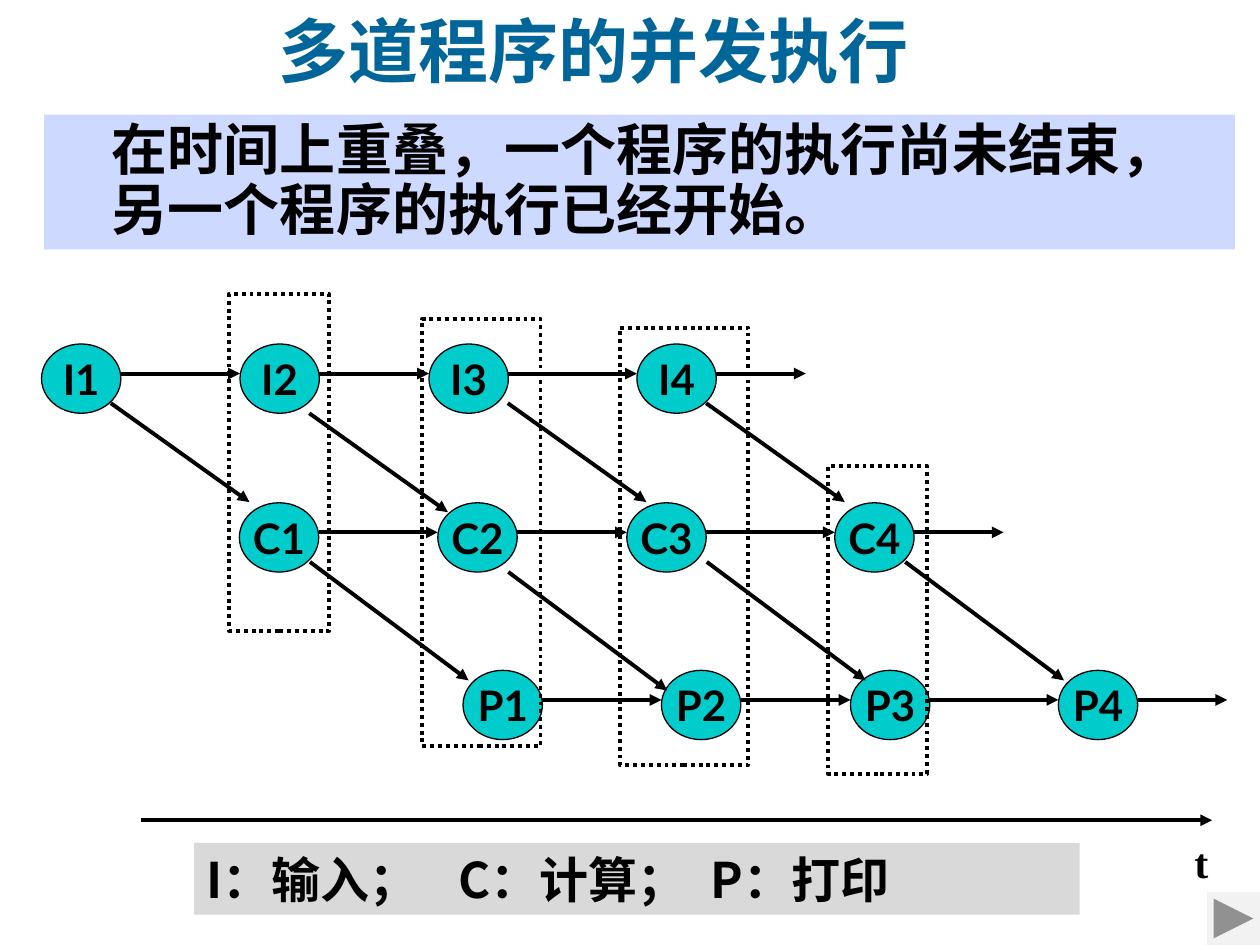
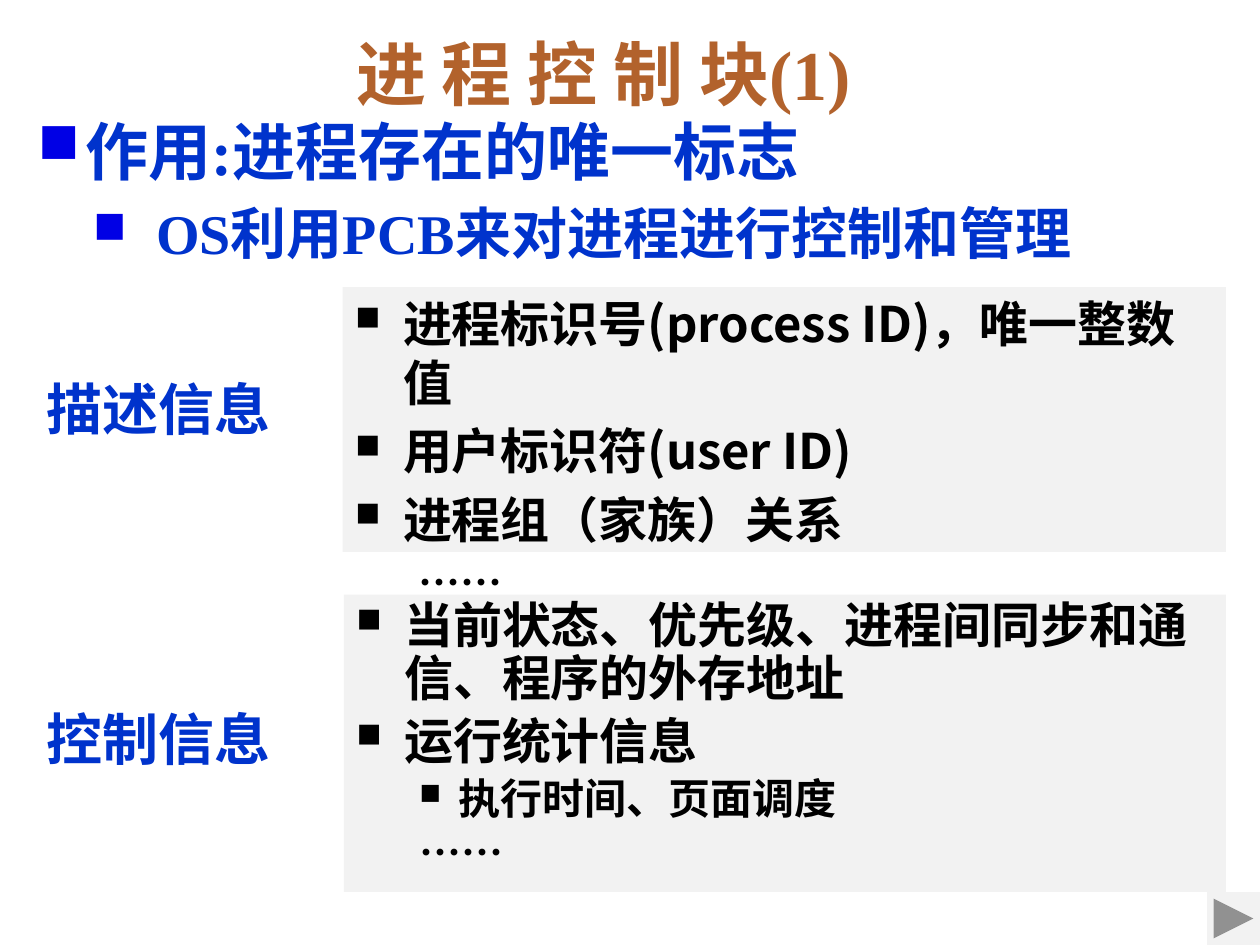
from dataclasses import dataclass

from lxml import etree
from pptx import Presentation
from pptx import util as u
from pptx.dml.color import RGBColor
from pptx.enum import dml, shapes, text
from pptx.oxml.ns import qn


@dataclass(frozen=True)
class Theme:
    serif: str = "Times New Roman"
    sans: str = "Noto Sans CJK SC"
    label: str = "Lato"
    black: str = "000000"
    teal_title: str = "006699"
    brown_title: str = "B2622C"
    blue: str = "0033CC"
    bullet_blue: str = "0000E5"
    node: str = "00CCCC"
    band: str = "CDD9FF"
    panel: str = "F2F2F2"
    legend: str = "D9D9D9"
    title_size: int = 40
    lead_size: int = 36
    body_size: int = 32
    item_size: int = 28
    small_size: int = 24
    leading: float = 1.2
    thin: float = 0.75
    thick: float = 2.25


T = Theme()
SHAPE = shapes.MSO_SHAPE
CENTER = text.PP_ALIGN.CENTER

prs = Presentation()
prs.slide_width, prs.slide_height = u.Inches(10), u.Inches(7.5)
CELL = prs.slide_width / 100  # square grid: 100 columns by 75 rows


def add_block(slide, cells, lines=(), kind=None, fill=None, outline=None,
              font=T.sans, color=T.black, bullet_color=None, align=None,
              spacing=1, wrap=True, anchor=text.MSO_ANCHOR.TOP):
    """Add a text box or preset shape; each line is a dict of text, size and list layout."""
    place = [round(c * CELL) for c in cells]
    if kind is None:
        block = slide.shapes.add_textbox(*place)
    else:
        block = slide.shapes.add_shape(kind, *place)
        block.shadow.inherit = False
        if fill:
            block.fill.solid()
            block.fill.fore_color.rgb = RGBColor.from_string(fill)
        else:
            block.fill.background()
        if outline:
            block.line.color.rgb = RGBColor.from_string(T.black)
            block.line.width = u.Pt(outline)
        else:
            block.line.fill.background()
    frame = block.text_frame
    frame.word_wrap, frame.vertical_anchor = wrap, anchor
    for i, line in enumerate(lines):
        p = frame.paragraphs[0] if i == 0 else frame.add_paragraph()
        size = line["size"]
        p.text = line["text"]
        p.level = line.get("level", 0)
        p.alignment = align or text.PP_ALIGN.LEFT
        p.line_spacing = u.Pt(round(size * T.leading * spacing, 1))
        p.space_before = u.Pt(0.2 * size if i else 0)
        props = p._p.get_or_add_pPr()
        left, first = line.get("indent", (0, 0))
        props.set("marL", str(round(left * CELL)))
        props.set("indent", str(round(first * CELL)))
        if "bullet" in line:
            if bullet_color:
                tint = etree.SubElement(props, qn("a:buClr"))
                etree.SubElement(tint, qn("a:srgbClr"), val=bullet_color)
            etree.SubElement(props, qn("a:buSzPct"), val=str(line["bullet"] * 1000))
            etree.SubElement(props, qn("a:buChar"), char="■")
        else:
            etree.SubElement(props, qn("a:buNone"))
        if "tabs" in line:
            stops = etree.SubElement(props, qn("a:tabLst"))
            for stop in line["tabs"]:
                etree.SubElement(stops, qn("a:tab"), pos=str(round(stop * CELL)), algn="l")
        p.font.name, p.font.size, p.font.bold = font, u.Pt(size), True
        p.font.color.rgb = RGBColor.from_string(color)
    return block


def add_arrow(slide, x, y, dx, dy=0):
    ends = [round(c * CELL) for c in (x, y, x + dx, y + dy)]
    arrow = slide.shapes.add_connector(shapes.MSO_CONNECTOR.STRAIGHT, *ends)
    arrow.line.color.rgb = RGBColor.from_string(T.black)
    arrow.line.width = u.Pt(T.thick)
    etree.SubElement(arrow.line._get_or_add_ln(), qn("a:tailEnd"), type="triangle")
    etree.SubElement(arrow._element.spPr, qn("a:effectLst"))


concurrency, control_block = [prs.slides.add_slide(prs.slide_layouts[6]) for _ in range(2)]

# Slide 1: title
add_block(concurrency, (9.7, 0.1, 74.8, 7.9),
          [dict(text="多道程序的并发执行", size=T.title_size)],
          font=T.serif, color=T.teal_title, align=CENTER)

# Three stages, each running four programs
NODE_W, NODE_H, ARROW_DROP = 6.3, 5.5, 2.35
program_offsets = [0, 15.75, 30.75, 47.25]
stages = [("I", 3.3, 27.3), ("C", 19, 39.9), ("P", 36.75, 53.2)]
for stage, start, top in stages:
    lefts = [start + offset for offset in program_offsets]
    for number, left in enumerate(lefts, 1):
        add_block(concurrency, (left, top, NODE_W, NODE_H),
                  [dict(text=f"{stage}{number}", size=T.small_size)],
                  kind=SHAPE.OVAL, fill=T.node, outline=T.thin, font=T.label,
                  align=CENTER, wrap=False, anchor=text.MSO_ANCHOR.MIDDLE)
    targets = lefts[1:] + [lefts[-1] + NODE_W + 7.1]
    for left, target in zip(lefts, targets):
        add_arrow(concurrency, left + NODE_W, top + ARROW_DROP, target - left - NODE_W)

# Each program passes from one stage to the next
for program in range(4):
    shift, drop = 15.75 * program, 0.8 if program == 1 else 0
    add_arrow(concurrency, 8.8 + shift, 32 + drop, 11, 7.85)
    add_arrow(concurrency, 24.6 + shift, 44.6 + drop, 12.6, 9.4)

# Time axis
add_arrow(concurrency, 11.2, 65.1, 85)
add_block(concurrency, (93.8, 65.9, 3.1, 5.1), [dict(text="t", size=T.small_size)],
          font=T.serif, wrap=False)

# Definition band
add_block(concurrency, (3.5, 9.1, 94.5, 10.7),
          [dict(text="在时间上重叠，一个程序的执行尚未结束，另一个程序的执行已经开始。",
                size=T.body_size, level=2, indent=(4.4, 0))],
          kind=SHAPE.RECTANGLE, fill=T.band, spacing=0.9)

# Dotted frames around steps that overlap in time
for frame_cells in [(18.2, 23.3, 7.9, 26.8), (33.5, 25.3, 9.4, 33.9),
                    (49.2, 26, 10.2, 34.7), (65.7, 37, 7.9, 24.4)]:
    overlap = add_block(concurrency, frame_cells, kind=SHAPE.RECTANGLE, outline=T.thick)
    overlap.line.dash_style = dml.MSO_LINE.ROUND_DOT

# Legend
add_block(concurrency, (15.4, 66.9, 70.3, 5.7),
          [dict(text="I：输入；\tC：计算；\tP：打印", size=T.item_size, tabs=(21.3, 44.9))],
          kind=SHAPE.RECTANGLE, fill=T.legend)

# Slide 2: title
add_block(control_block, (5.4, -0.7, 85, 10.4),
          [dict(text="进 程 控 制 块(1)", size=T.title_size, level=1, indent=(0, -3))],
          font=T.serif, color=T.brown_title, align=CENTER, spacing=1.4)

# Purpose of the block
add_block(control_block, (2, 8.4, 93.7, 12.5),
          [dict(text="作用:进程存在的唯一标志", size=T.lead_size, indent=(3.8, -3.8), bullet=90),
           dict(text="OS利用PCB来对进程进行控制和管理", size=T.body_size, level=2,
                indent=(9.4, -5), bullet=80)],
          font=T.serif, color=T.blue, bullet_color=T.bullet_blue)

# Group labels
for group, top in [("描述信息", 29.2), ("控制信息", 55.4)]:
    add_block(control_block, (2.7, top, 22.8, 6.3), [dict(text=group, size=T.body_size)],
              font=T.serif, color=T.blue)

# Group panels
item = dict(size=T.item_size, indent=(3.8, -3.8), bullet=70)
more = dict(text="……", size=T.small_size, level=1, indent=(5, 0))
description = [dict(item, text=entry) for entry in
               ("进程标识号(process ID)，唯一整数值", "用户标识符(user ID)", "进程组（家族）关系")]
control = [dict(item, text=entry) for entry in
           ("当前状态、优先级、进程间同步和通信、程序的外存地址", "运行统计信息")]
control.append(dict(text="执行时间、页面调度", size=T.small_size, level=1,
                    indent=(8.1, -3.1), bullet=70))
for cells, entries, spacing in [((27.2, 22.8, 70.1, 21), description, 1),
                                ((27.3, 47.2, 70, 23.6), control, 0.9)]:
    add_block(control_block, cells, entries + [more], kind=SHAPE.RECTANGLE,
              fill=T.panel, spacing=spacing)

# Forward button on every slide
for slide in prs.slides:
    add_block(slide, (95.8, 70.8, 4.2, 4.2),
              kind=SHAPE.ACTION_BUTTON_FORWARD_OR_NEXT, fill=T.panel)

prs.save("out.pptx")
